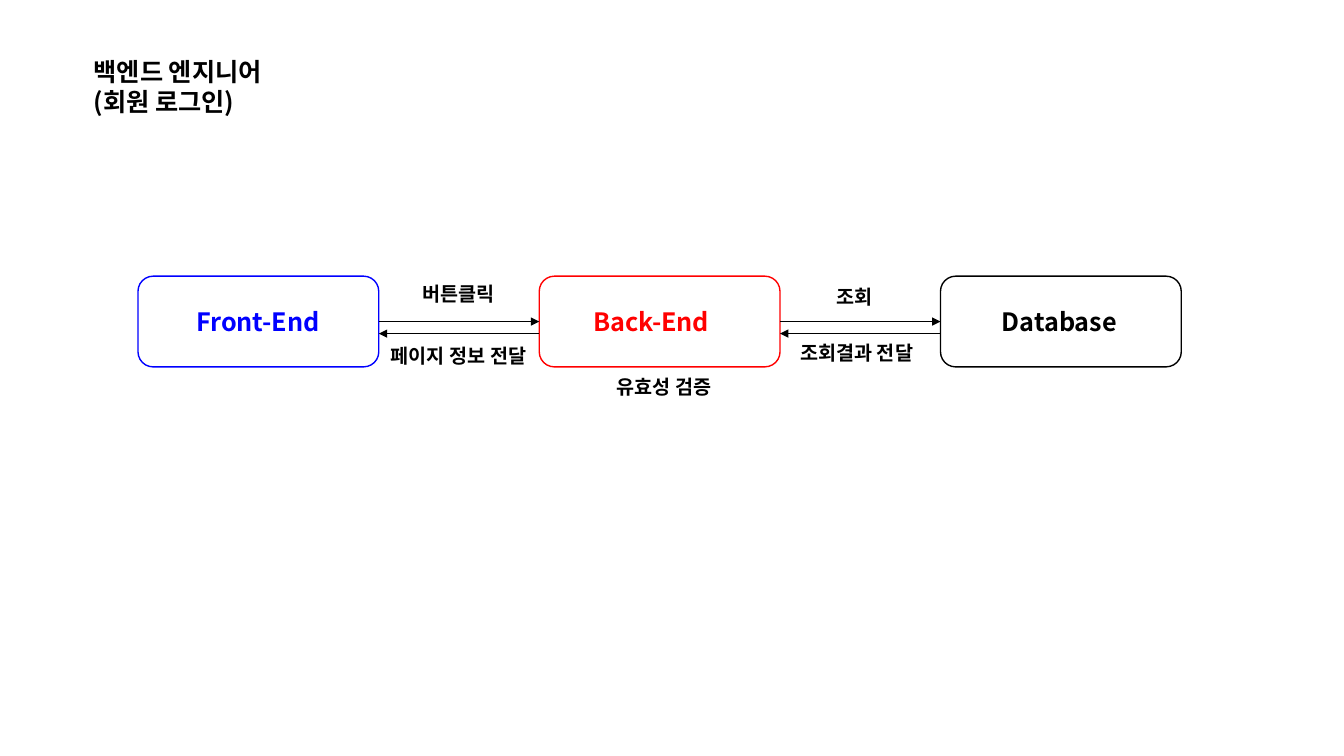
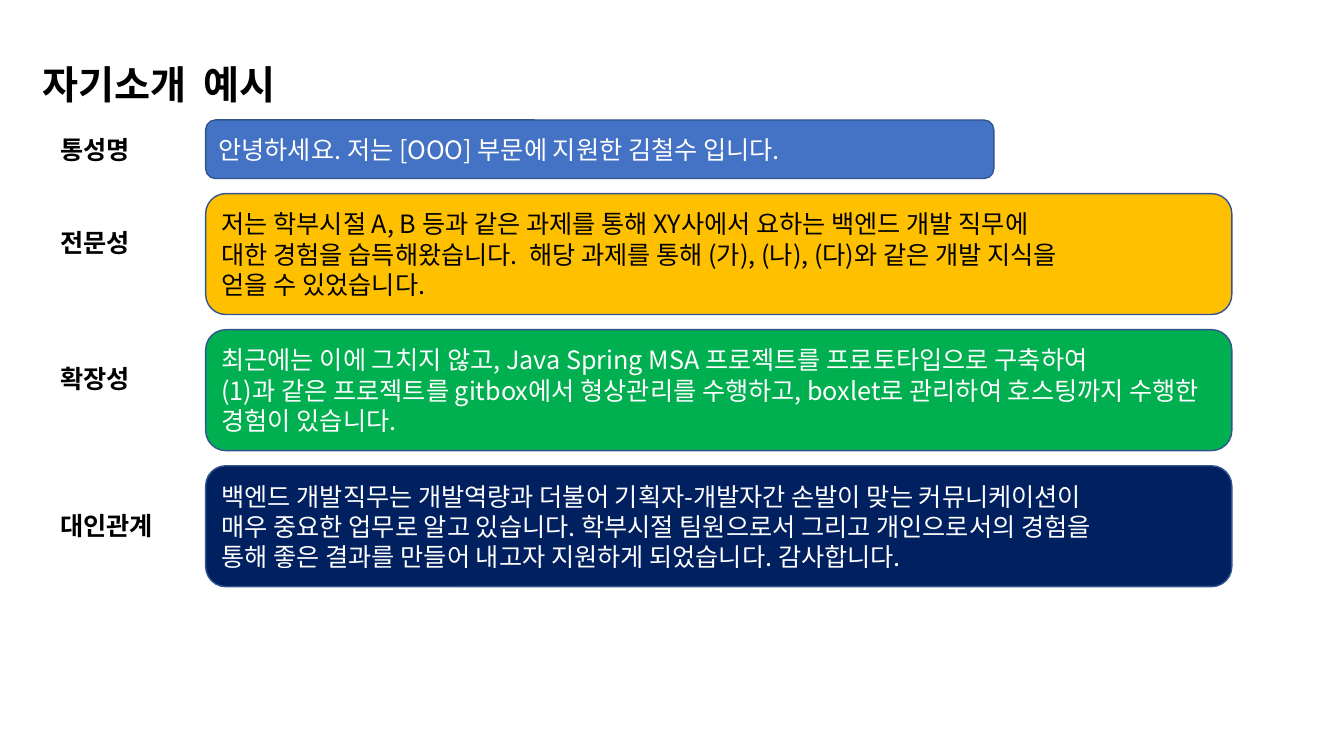
from lxml import etree
from pptx import Presentation
from pptx.dml.color import RGBColor
from pptx.enum.shapes import MSO_CONNECTOR, MSO_SHAPE
from pptx.enum.text import MSO_ANCHOR, PP_ALIGN
from pptx.oxml.ns import qn
from pptx.util import Pt

FONT = "Noto Sans CJK KR"
BLACK, WHITE, RED, BLUE = "000000", "FFFFFF", "FF0000", "0000FF"
EDGE = "325491"
LEFT, CENTER = PP_ALIGN.LEFT, PP_ALIGN.CENTER
MIDDLE = MSO_ANCHOR.MIDDLE
ROUNDED = MSO_SHAPE.ROUNDED_RECTANGLE
STRAIGHT = MSO_CONNECTOR.STRAIGHT
RIGHT_SIDE, LEFT_SIDE = 3, 1


def rgb(color):
    return RGBColor.from_string(color)


def write(sp, lines, size=18, color=BLACK, bold=True, align=LEFT):
    """Fill a shape or text box, one paragraph per line."""
    tf = sp.text_frame
    tf.word_wrap = True
    tf.text = "\n".join(lines)
    for p in tf.paragraphs:
        p.alignment = align
        p.font.name = FONT
        p.font.size = Pt(size)
        p.font.bold = bold
        p.font.color.rgb = rgb(color)
        # Hangul takes its typeface from a:ea
        defaults = p._p.pPr.find(qn("a:defRPr"))
        etree.SubElement(defaults, qn("a:ea")).set("typeface", FONT)


prs = Presentation()
prs.slide_width, prs.slide_height = Pt(960), Pt(540)
blank = prs.slide_layouts[6]

# Slide 1: login flow
s = prs.slides.add_slide(blank)
BOX_X, BOX_Y, BOX_W, BOX_H, GAP = 98.6, 197.3, 172, 64.8, 114.6
PITCH = BOX_W + GAP
FORWARD_Y = BOX_Y + BOX_H / 2
RETURN_Y = FORWARD_Y + 8.6

boxes = []
for i, color in enumerate((BLUE, RED, BLACK)):
    sp = s.shapes.add_shape(ROUNDED, Pt(BOX_X + i * PITCH), Pt(BOX_Y), Pt(BOX_W), Pt(BOX_H))
    sp.shadow.inherit = False
    sp.fill.background()
    sp.line.color.rgb = rgb(color)
    sp.line.width = Pt(1)
    boxes.append(sp)

arrows = []
for i in range(2):
    x1 = BOX_X + BOX_W + i * PITCH
    x2 = x1 + GAP
    forward = s.shapes.add_connector(STRAIGHT, Pt(x1), Pt(FORWARD_Y), Pt(x2), Pt(FORWARD_Y))
    forward.begin_connect(boxes[i], RIGHT_SIDE)
    forward.end_connect(boxes[i + 1], LEFT_SIDE)
    back = s.shapes.add_connector(STRAIGHT, Pt(x2), Pt(RETURN_Y), Pt(x1), Pt(RETURN_Y))
    arrows += [forward, back]
for arrow in arrows:
    arrow.line.color.rgb = rgb(BLACK)
    arrow.line.width = Pt(1)
    etree.SubElement(arrow.line._get_or_add_ln(), qn("a:tailEnd")).set("type", "triangle")
    etree.SubElement(arrow._element.spPr, qn("a:effectLst"))

for text, x, y, w, h, size, color, align in (
    ("백엔드 엔지니어 (회원 로그인)", 59.8, 36.7, 154, 51, 18, BLACK, LEFT),
    ("Front-End", 114.5, 215.3, 139.7, 29, 18, BLUE, CENTER),
    ("Back-End", 416.9, 215.3, 107.3, 29, 18, RED, LEFT),
    ("Database", 708.5, 215.3, 107.3, 29, 18, BLACK, LEFT),
    ("버튼클릭", 270, 198, 115.2, 24.5, 14, BLACK, CENTER),
    ("페이지 정보 전달", 270, 242, 115.2, 24.5, 14, BLACK, CENTER),
    ("조회", 553, 200.2, 115.2, 24.5, 14, BLACK, CENTER),
    ("조회결과 전달", 554.4, 239.8, 115.2, 24.5, 14, BLACK, CENTER),
    ("유효성 검증", 416.9, 264.2, 115.2, 24.5, 14, BLACK, CENTER),
):
    sp = s.shapes.add_textbox(Pt(x), Pt(y), Pt(w), Pt(h))
    write(sp, [text], size, color, align=align)

# Slide 2: sample self-introduction
s = prs.slides.add_slide(blank)
sp = s.shapes.add_textbox(Pt(23), Pt(39.6), Pt(335.5), Pt(41))
write(sp, ["자기소개  예시"], 28)

ROW_GAP = 10.8
y = 85.7
for label, label_y, w, h, fill, color, lines in (
    ("통성명", 92.2, 563, 41.8, "4472C4", WHITE,
     ["안녕하세요. 저는 [OOO] 부문에 지원한 김철수 입니다."]),
    ("전문성", 159.1, 733, 86.4, "FFC000", BLACK,
     ["저는 학부시절 A, B 등과 같은 과제를 통해 XY사에서 요하는 백엔드 개발 직무에",
      "대한 경험을 습득해왔습니다.  해당 과제를 통해 (가), (나), (다)와 같은 개발 지식을",
      "얻을 수 있었습니다."]),
    ("확장성", 255.6, 733, 86.4, "00B050", WHITE,
     ["최근에는 이에 그치지 않고, Java Spring MSA 프로젝트를 프로토타입으로 구축하여",
      "(1)과 같은 프로젝트를 gitbox에서 형상관리를 수행하고, boxlet로 관리하여 호스팅까지 "
      "수행한 경험이 있습니다."]),
    ("대인관계", 360.7, 733, 86.4, "002060", WHITE,
     ["백엔드 개발직무는 개발역량과 더불어 기획자-개발자간 손발이 맞는 커뮤니케이션이",
      "매우 중요한 업무로 알고 있습니다. 학부시절 팀원으로서 그리고 개인으로서의 경험을",
      "통해 좋은 결과를 만들어 내고자 지원하게 되었습니다. 감사합니다."]),
):
    sp = s.shapes.add_shape(ROUNDED, Pt(146.9), Pt(y), Pt(w), Pt(h))
    sp.shadow.inherit = False
    sp.fill.solid()
    sp.fill.fore_color.rgb = rgb(fill)
    sp.line.color.rgb = rgb(EDGE)
    sp.line.width = Pt(1)
    sp.text_frame.vertical_anchor = MIDDLE
    write(sp, lines, color=color, bold=False)
    sp = s.shapes.add_textbox(Pt(36), Pt(label_y), Pt(93.6), Pt(29))
    write(sp, [label])
    y += h + ROW_GAP

prs.save("out.pptx")
